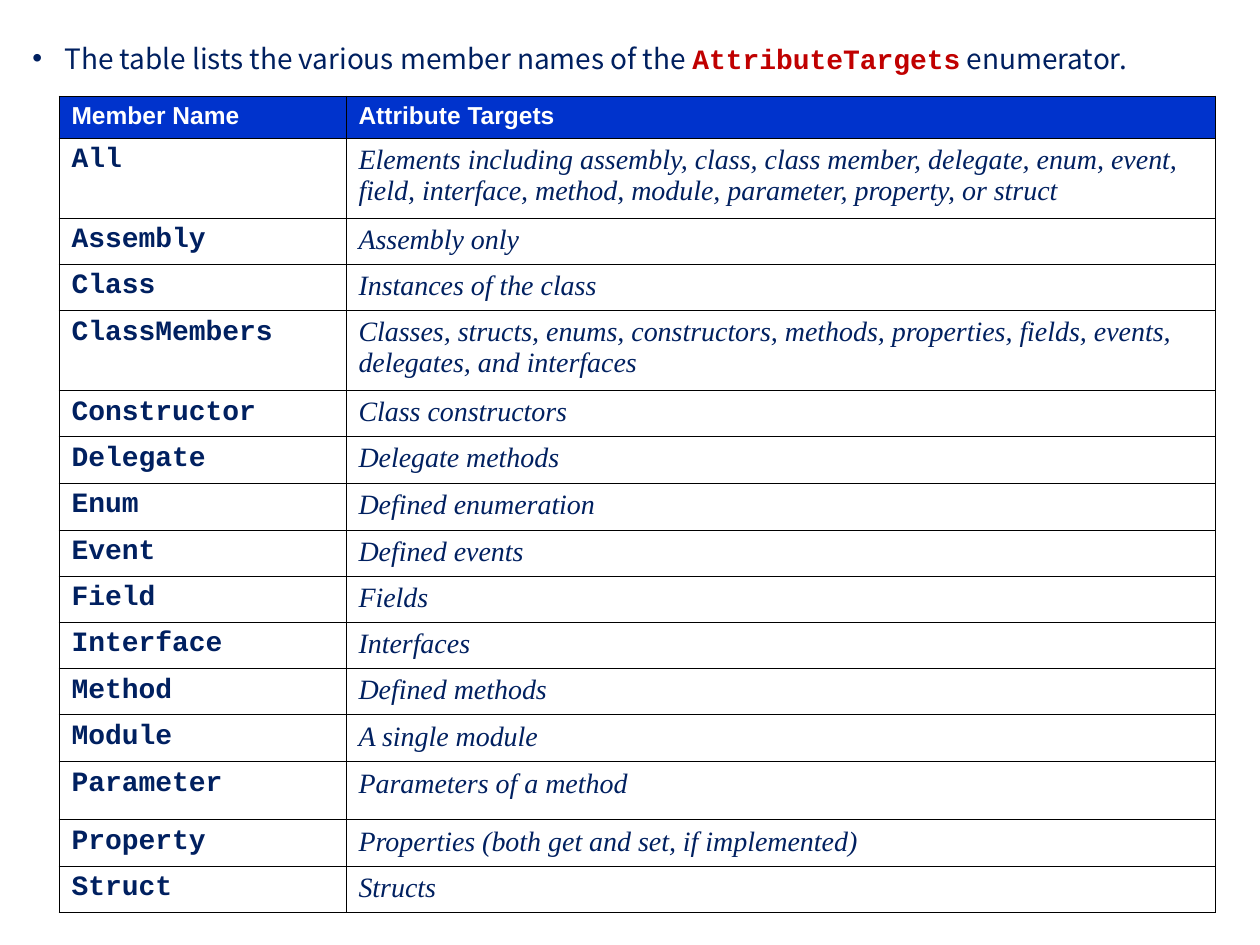
from dataclasses import dataclass

import lxml.etree
import pptx
import pptx.dml.color
import pptx.oxml
import pptx.oxml.ns
import pptx.util

PX = 914400 / 126  # EMU in one px


@dataclass(frozen=True)
class Theme:
    navy: str = "002060"
    red: str = "C00000"
    header_fill: str = "0033CC"
    white: str = "FFFFFF"
    border: str = "000000"
    border_width: float = 0.45
    body_size: int = 16
    header_size: int = 14
    body_font: str = "Noto Sans CJK SC"
    header_font: str = "Arial"
    code_font: str = "Courier New"
    description_font: str = "Times New Roman"


THEME = Theme()

HEADERS = ("Member Name", "Attribute Targets")
MEMBERS = {
    "All": "Elements including assembly, class, class member, delegate, enum, event, "
           "field, interface, method, module, parameter, property, or struct",
    "Assembly": "Assembly only",
    "Class": "Instances of the class",
    "ClassMembers": "Classes, structs, enums, constructors, methods, properties, fields, "
                    "events, delegates, and interfaces",
    "Constructor": "Class constructors",
    "Delegate": "Delegate methods",
    "Enum": "Defined enumeration",
    "Event": "Defined events",
    "Field": "Fields",
    "Interface": "Interfaces",
    "Method": "Defined methods",
    "Module": "A single module",
    "Parameter": "Parameters of a method",
    "Property": "Properties (both get and set, if implemented)",
    "Struct": "Structs",
}
HEADER_HEIGHT = 42
ROW_HEIGHT = 46
TALL_ROWS = {"All": 80, "ClassMembers": 80, "Enum": 47, "Module": 47, "Parameter": 58}
NAME_WIDTH = 287


def px(length):
    return pptx.util.Emu(round(length * PX))


def style_font(font, name, size, colour, bold=False, italic=False):
    font.name = name
    font.size = pptx.util.Pt(size)
    font.bold = bold
    font.italic = italic
    font.color.rgb = pptx.dml.color.RGBColor.from_string(colour)


def add_bullet(paragraph, indent, colour):
    properties = paragraph._p.get_or_add_pPr()
    properties.set("marL", str(px(indent)))
    properties.set("indent", str(-px(indent)))
    ns = pptx.oxml.ns.qn
    bullet_colour = lxml.etree.SubElement(properties, ns("a:buClr"))
    lxml.etree.SubElement(bullet_colour, ns("a:srgbClr"), val=colour)
    lxml.etree.SubElement(properties, ns("a:buFont"), typeface="Arial")
    lxml.etree.SubElement(properties, ns("a:buChar"), char="•")


def add_borders(cell):
    ns = pptx.oxml.ns.qn
    properties = cell._tc.get_or_add_tcPr()
    width = str(int(pptx.util.Pt(THEME.border_width)))
    for side in ("lnL", "lnR", "lnT", "lnB"):
        line = lxml.etree.SubElement(properties, ns(f"a:{side}"), w=width)
        fill = lxml.etree.SubElement(line, ns("a:solidFill"))
        lxml.etree.SubElement(fill, ns("a:srgbClr"), val=THEME.border)


def fill_cell(cell, text, fill=None, **font):
    cell.text = text
    style_font(cell.text_frame.paragraphs[0].font, **font)
    add_borders(cell)
    if fill:
        cell.fill.solid()
        cell.fill.fore_color.rgb = pptx.dml.color.RGBColor.from_string(fill)
    else:
        cell.fill.background()


def add_introduction(slide, left, top, width, height):
    box = slide.shapes.add_textbox(px(left), px(top), px(width), px(height))
    box.text_frame.word_wrap = True
    paragraph = box.text_frame.paragraphs[0]
    paragraph.line_spacing = 1.1
    add_bullet(paragraph, 32, THEME.navy)
    for text, name, colour, bold in (
        ("The table lists the various member names of the ", THEME.body_font, THEME.navy, False),
        ("AttributeTargets", THEME.code_font, THEME.red, True),
        (" enumerator.", THEME.body_font, THEME.navy, False),
    ):
        run = paragraph.add_run()
        run.text = text
        style_font(run.font, name, THEME.body_size, colour, bold)


def add_member_table(slide, left, top, width):
    heights = [HEADER_HEIGHT] + [TALL_ROWS.get(name, ROW_HEIGHT) for name in MEMBERS]
    frame = slide.shapes.add_table(
        len(heights), len(HEADERS), px(left), px(top), px(width), px(sum(heights)))
    table = frame.table
    table.first_row = False
    table.horz_banding = False
    for column, column_width in zip(table.columns, (NAME_WIDTH, width - NAME_WIDTH)):
        column.width = px(column_width)
    for row, height in zip(table.rows, heights):
        row.height = px(height)

    # Header row
    for column, title in enumerate(HEADERS):
        fill_cell(table.cell(0, column), title, THEME.header_fill, name=THEME.header_font,
                  size=THEME.header_size, colour=THEME.white, bold=True)

    # One row for each member
    for row, (member, description) in enumerate(MEMBERS.items(), start=1):
        fill_cell(table.cell(row, 0), member, name=THEME.code_font,
                  size=THEME.body_size, colour=THEME.navy, bold=True)
        fill_cell(table.cell(row, 1), description, name=THEME.description_font,
                  size=THEME.body_size, colour=THEME.navy, italic=True)


def main():
    presentation = pptx.Presentation()
    presentation.slide_width = px(1260)
    presentation.slide_height = px(945)
    slide = presentation.slides.add_slide(presentation.slide_layouts[6])
    add_introduction(slide, 20, 32, 1227, 895)
    add_member_table(slide, 59, 96, 1156)
    presentation.save("out.pptx")


if __name__ == "__main__":
    main()
